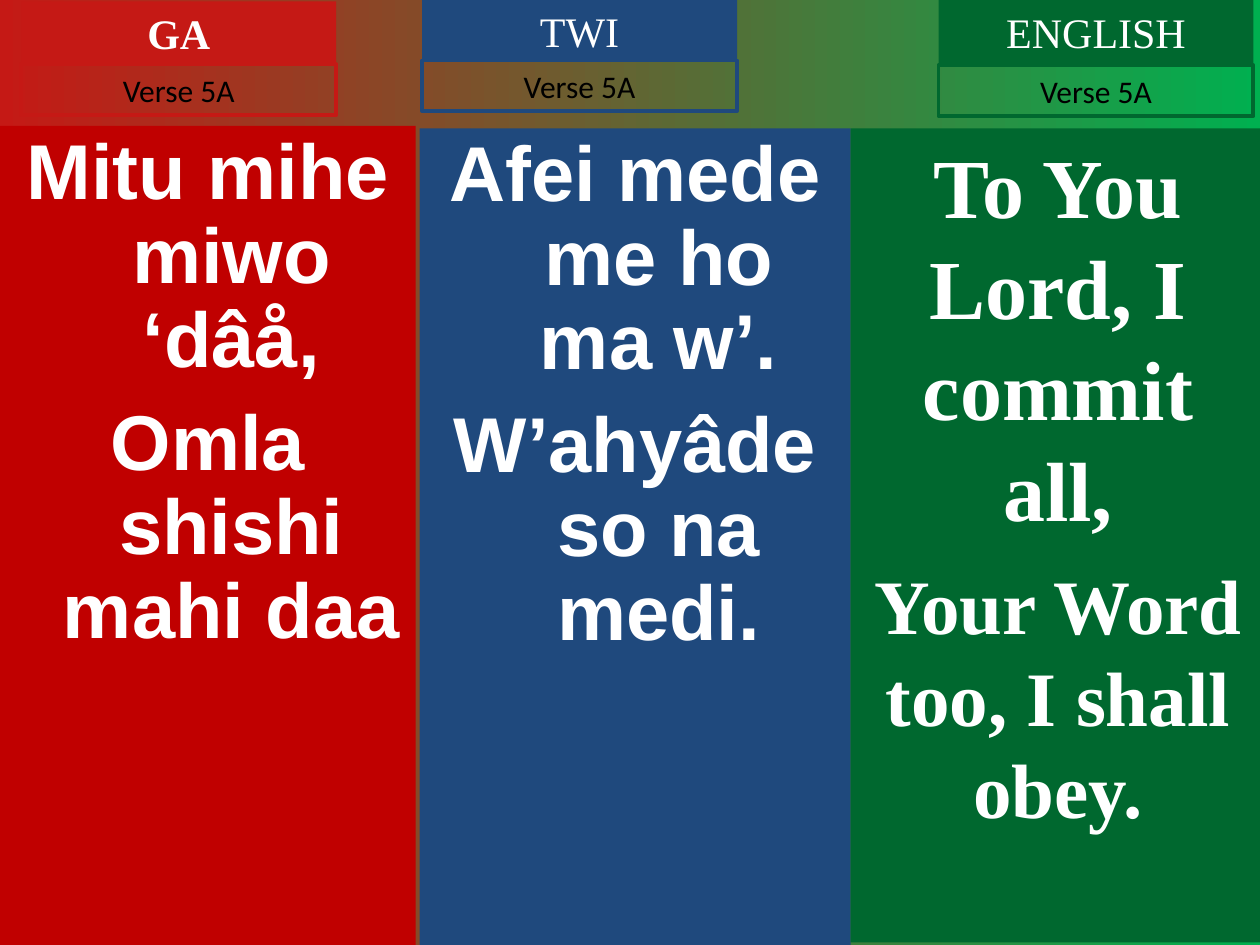
from pptx import Presentation
from pptx.dml.color import RGBColor as RGB
from pptx.enum.shapes import MSO_SHAPE as SHAPE
from pptx.enum.text import MSO_ANCHOR as ANCHOR, PP_ALIGN as ALIGN
from pptx.util import Cm, Pt

COLORS = {
    "red": "C51915", "deep_red": "C00000", "blue": "1F497D",
    "green": "00682F", "bright_green": "00B050",
    "white": "FFFFFF", "black": "000000",
}
SERIF = "Times New Roman"
VERSE = "Verse 5A"
TAB_W, TITLE_H, VERSE_H = 6.35, 1.27, 1.02
LOCAL = dict(font="Arial", sizes=(44.4, 44.4), hang=0.95, spacing=0.9)
ENGLISH = dict(font=SERIF, sizes=(48, 44))

COLUMNS = [
    dict(title="GA", bold=True, color="red", x=0.43, title_y=0.03, verse_y=1.3,
         panel=(0, 2.54, 8.38, 16.51), panel_color="deep_red", style=LOCAL,
         lines=["Mitu mihe miwo ‘dâå,", "Omla shishi mahi daa"]),
    dict(title="TWI", bold=False, color="blue", x=8.51, title_y=-0.02, verse_y=1.22,
         panel=(8.46, 2.59, 8.69, 16.46), panel_color="blue", style=LOCAL,
         lines=["Afei mede me ho ma w’.", "W’ahyâde so na medi."]),
    dict(title="ENGLISH", bold=False, color="green", x=18.92, title_y=0, verse_y=1.32,
         panel=(17.15, 2.59, 8.36, 16.41), panel_color="green", style=ENGLISH,
         lines=["To You Lord, I commit all,", "Your Word too, I shall obey."]),
]


def rgb(name):
    return RGB.from_string(COLORS[name])


def add_box(s, box, fill=None, line=None):
    sp = s.shapes.add_shape(SHAPE.RECTANGLE, *map(Cm, box))
    sp.shadow.inherit = False
    if fill:
        sp.fill.solid()
        sp.fill.fore_color.rgb = rgb(fill)
    else:
        sp.fill.background()
    if line:
        sp.line.color.rgb = rgb(line)
        sp.line.width = Pt(2.25)
    else:
        sp.line.fill.background()
    return sp


def write(sp, lines, sizes, font=SERIF, color="white", bold=False, hang=0, spacing=None):
    tf = sp.text_frame
    tf.word_wrap = True
    tf.vertical_anchor = ANCHOR.TOP
    for i, (text, size) in enumerate(zip(lines, sizes)):
        p = tf.add_paragraph() if i else tf.paragraphs[0]
        p.alignment = ALIGN.CENTER
        if hang:
            pPr = p._p.get_or_add_pPr()
            pPr.set("marL", str(Cm(hang)))
            pPr.set("indent", str(-Cm(hang)))
        if spacing:
            p.line_spacing = spacing
        if i:
            p.space_before = Pt(size / 4)
        r = p.add_run()
        r.text = text
        r.font.name = font
        r.font.size = Pt(size)
        r.font.bold = bold
        r.font.color.rgb = rgb(color)


prs = Presentation()
prs.slide_width, prs.slide_height = Cm(25.4), Cm(19.05)
s = prs.slides.add_slide(prs.slide_layouts[6])

bg = s.background.fill
bg.gradient()
bg.gradient_angle = 0
for stop, name, pos in zip(bg.gradient_stops, ("red", "bright_green"), (0, 1)):
    stop.color.rgb = rgb(name)
    stop.position = pos

for col in COLUMNS:
    panel = add_box(s, col["panel"], fill=col["panel_color"])
    write(panel, col["lines"], bold=True, **col["style"])
    title = add_box(s, (col["x"], col["title_y"], TAB_W, TITLE_H), fill=col["color"])
    write(title, [col["title"]], [24], bold=col["bold"])
    verse = add_box(s, (col["x"], col["verse_y"], TAB_W, VERSE_H), line=col["color"])
    write(verse, [VERSE], [18], font="Calibri", color="black")

prs.save("out.pptx")
